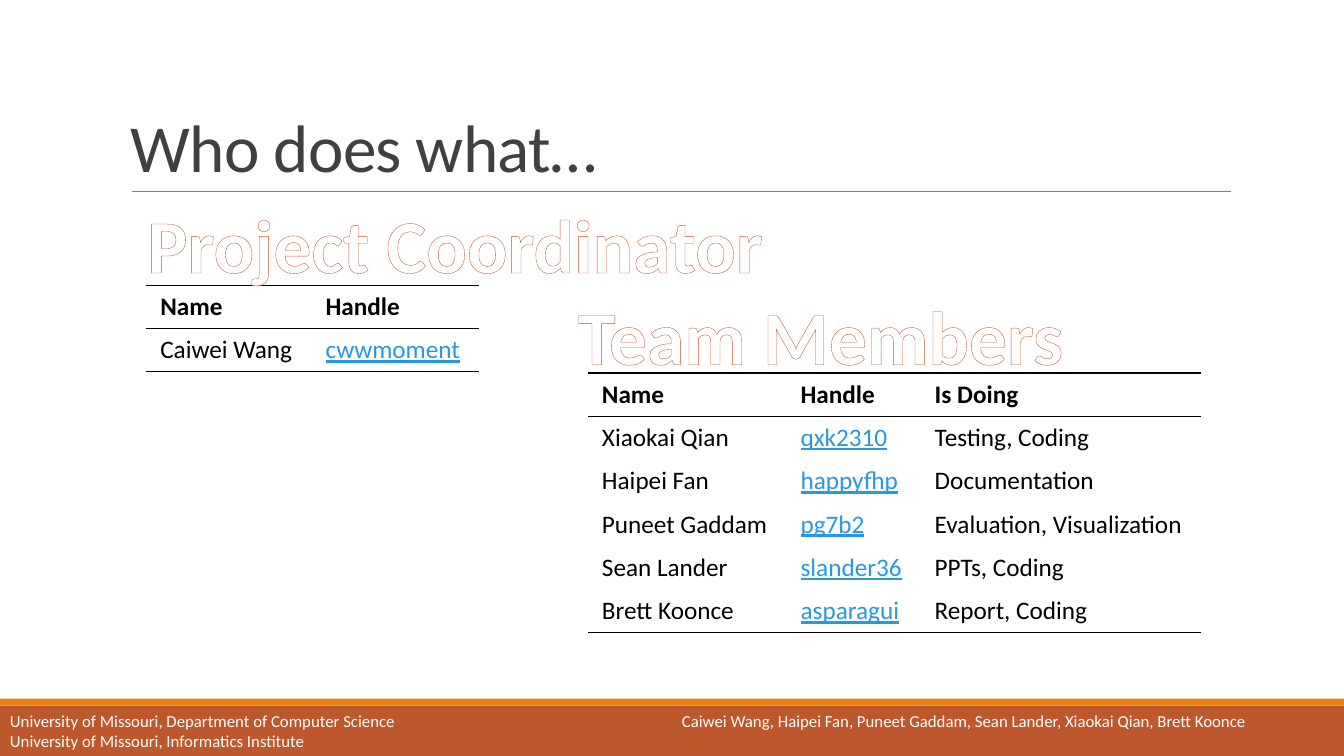
from pptx import Presentation
from pptx.dml.color import RGBColor
from pptx.enum.shapes import MSO_CONNECTOR, MSO_SHAPE
from pptx.enum.text import MSO_ANCHOR, PP_ALIGN
from pptx.oxml.ns import qn
from pptx.util import Inches, Pt
from lxml import etree

RECTANGLE = MSO_SHAPE.RECTANGLE
STRAIGHT = MSO_CONNECTOR.STRAIGHT
TOP, MIDDLE, BOTTOM = MSO_ANCHOR.TOP, MSO_ANCHOR.MIDDLE, MSO_ANCHOR.BOTTOM
LEFT, CENTER = PP_ALIGN.LEFT, PP_ALIGN.CENTER

WIDTH, HEIGHT = Inches(13.33), Inches(7.5)
FONT = "Calibri"
RUST, ORANGE, GRAY, INK = "BD582C", "E48312", "808080", "404040"
BLACK, WHITE, LINK = "000000", "FFFFFF", "2998E3"
PLAIN_TABLE = "{2D5ABB26-0587-4C30-8999-92F81FD0307C}"
ROW_HEIGHT = 5.73
FOOTER_TOP, FOOTER_HEIGHT = 93.33, 6.67

COORDINATOR = [["Name", "Handle"], ["Caiwei Wang", "cwwmoment"]]
MEMBERS = [
    ["Name", "Handle", "Is Doing"],
    ["Xiaokai Qian", "qxk2310", "Testing, Coding"],
    ["Haipei Fan", "happyfhp", "Documentation"],
    ["Puneet Gaddam", "pg7b2", "Evaluation, Visualization"],
    ["Sean Lander", "slander36", "PPTs, Coding"],
    ["Brett Koonce", "asparagui", "Report, Coding"],
]


def color(value):
    return RGBColor.from_string(value)


def across(percent):
    return round(WIDTH * percent / 100)


def down(percent):
    return round(HEIGHT * percent / 100)


def area(left, top, width, height):
    return across(left), down(top), across(width), down(height)


def write(paragraph, text, ink, **font_values):
    run = paragraph.add_run()
    run.text = text
    run.font.color.rgb = color(ink)
    for name, value in {"name": FONT, **font_values}.items():
        setattr(run.font, name, value)
    return run


def outline(parent, tag, ink, points, position):
    line = etree.Element(qn(tag), w=str(Pt(points)))
    fill = etree.SubElement(line, qn("a:solidFill"))
    etree.SubElement(fill, qn("a:srgbClr"), val=ink)
    parent.insert(position, line)


def add_bar(slide, top, height, ink):
    shape = slide.shapes.add_shape(RECTANGLE, *area(0, top, 100, height))
    shape.shadow.inherit = False
    shape.fill.solid()
    shape.fill.fore_color.rgb = color(ink)
    shape.line.fill.background()


def add_rule(slide, left, right, top):
    connector = slide.shapes.add_connector(
        STRAIGHT, across(left), down(top), across(right), down(top))
    connector.line.color.rgb = color(GRAY)
    connector.line.width = Pt(0.5)
    etree.SubElement(connector.element.spPr, qn("a:effectLst"))


def add_text(slide, box, lines, size, ink, anchor=TOP, align=LEFT,
             wrap=True, spacing=1.0, bold=False):
    frame = slide.shapes.add_textbox(*area(*box)).text_frame
    frame.word_wrap = wrap
    frame.vertical_anchor = anchor
    runs = []
    for index, text in enumerate(lines):
        paragraph = frame.add_paragraph() if index else frame.paragraphs[0]
        paragraph.alignment = align
        paragraph.line_spacing = spacing
        runs.append(write(paragraph, text, ink, size=Pt(size), bold=bold))
    return runs


def add_heading(slide, box, text):
    for run in add_text(slide, box, [text], 54, WHITE, align=CENTER,
                        wrap=False, bold=True):
        outline(run.font._element, "a:ln", RUST, 0.52, 0)


def fill_cell(cell, text, is_header, is_link, edges):
    margins = {"margin_left": 0.14, "margin_right": 0.14,
               "margin_top": 0.06, "margin_bottom": 0.06}
    for name, value in margins.items():
        setattr(cell, name, Inches(value))
    cell.vertical_anchor = MIDDLE
    cell.fill.background()
    write(cell.text_frame.paragraphs[0], text, LINK if is_link else BLACK,
          size=Pt(18), bold=is_header, underline=is_link)
    for position, edge in enumerate(edges):
        outline(cell._tc.tcPr, edge, BLACK, 1, position)


def add_people(slide, left, top, widths, people):
    frame = slide.shapes.add_table(
        len(people), len(widths),
        *area(left, top, sum(widths), ROW_HEIGHT * len(people)))
    table = frame.table
    table.horz_banding = False
    table.first_row = False
    table._tbl.tblPr.find(qn("a:tableStyleId")).text = PLAIN_TABLE
    for column, width in zip(table.columns, widths):
        column.width = across(width)
    for row_index, person in enumerate(people):
        table.rows[row_index].height = down(ROW_HEIGHT)
        is_header = row_index == 0
        edges = ["a:lnT"] if is_header else []
        if is_header or row_index == len(people) - 1:
            edges.append("a:lnB")
        for column_index, text in enumerate(person):
            is_link = column_index == 1 and not is_header
            fill_cell(table.cell(row_index, column_index), text,
                      is_header, is_link, edges)


def main():
    presentation = Presentation()
    presentation.slide_width, presentation.slide_height = WIDTH, HEIGHT
    slide = presentation.slides.add_slide(presentation.slide_layouts[6])

    add_bar(slide, FOOTER_TOP, FOOTER_HEIGHT, RUST)
    add_bar(slide, 92.4, 0.93, ORANGE)
    add_rule(slide, 9.83, 91.6, 25.33)
    add_text(slide, (50, FOOTER_TOP, 50, FOOTER_HEIGHT),
             ["Caiwei Wang, Haipei Fan, Puneet Gaddam, Sean Lander, "
              "Xiaokai Qian, Brett Koonce"], 12, WHITE)
    add_text(slide, (0, FOOTER_TOP, 44.18, FOOTER_HEIGHT),
             ["University of Missouri, Department of Computer Science",
              "University of Missouri, Informatics Institute"], 12, WHITE)

    for run in add_text(slide, (9, 4.13, 82.5, 21.2), ["Who does what…"],
                        48, INK, anchor=BOTTOM, spacing=0.85):
        run.font._element.set("spc", "-50")

    add_people(slide, 10.88, 37.73, [12.3, 12.45], COORDINATOR)
    add_people(slide, 43.74, 49.33, [14.78, 9.98, 20.86], MEMBERS)
    add_heading(slide, (9.98, 25.47, 47.79, 13.47), "Project Coordinator")
    add_heading(slide, (42.09, 37.6, 37.96, 13.47), "Team Members")

    presentation.save("out.pptx")


if __name__ == "__main__":
    main()
